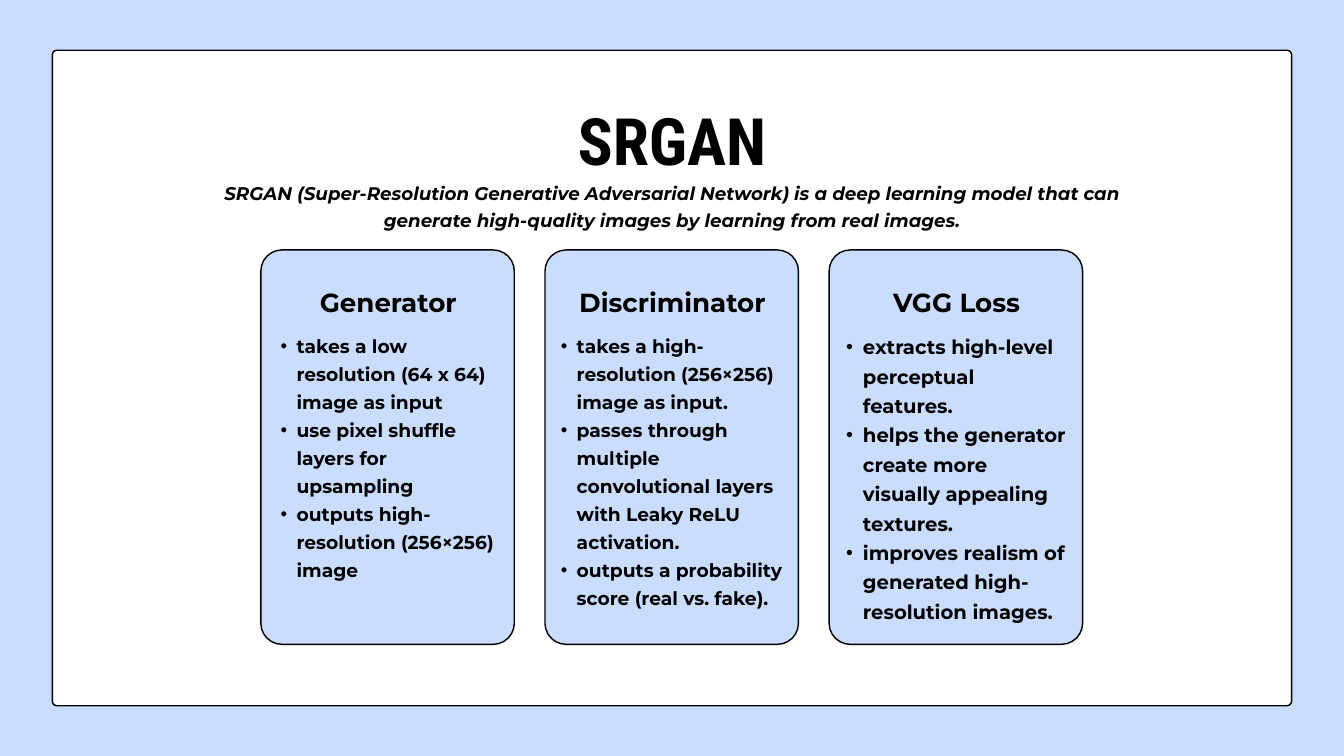
"""Build the SRGAN overview slide with its three component cards."""
from dataclasses import dataclass

from lxml import etree
from pptx import Presentation
from pptx import util as u
from pptx.dml.color import RGBColor
from pptx.enum import shapes, text
from pptx.oxml import ns

BLUE = RGBColor(0xCA, 0xDD, 0xFF)
WHITE = RGBColor(0xFF, 0xFF, 0xFF)
BLACK = RGBColor(0, 0, 0)

CARD_LEFT, CARD_TOP, CARD_PITCH = 9.86, 9.45, 10.74
CARD_WIDTH, CARD_HEIGHT = 9.58, 14.91


@dataclass(frozen=True)
class Box:
    left: float
    top: float
    width: float
    height: float

    def lengths(self) -> tuple:
        return tuple(u.Cm(side) for side in (self.left, self.top, self.width, self.height))


@dataclass(frozen=True)
class Style:
    size: float
    leading: float
    font: str = "Montserrat"
    italic: bool = False
    indent: float = 0


@dataclass(frozen=True)
class Card:
    heading: str
    points: tuple[str, ...]
    style: Style
    inset: float
    list_width: float
    list_height: float


TITLE = Style(70, 70.7, font="Roboto Condensed")
SUMMARY = Style(19.6, 29.4, italic=True)
HEADING = Style(28, 36.4)
POINTS = Style(20, 30, indent=0.6)
LARGE_POINTS = Style(21, 31.5, indent=0.64)

CARDS = (
    Card("Generator", (
        "takes a low resolution (64 x 64) image as input",
        "use pixel shuffle layers for upsampling",
        "outputs high-resolution (256×256) image",
    ), POINTS, 0.15, 8.86, 9.47),
    Card("Discriminator", (
        "takes a high-resolution (256×256) image as input.",
        "passes through multiple convolutional layers with Leaky ReLU activation.",
        "outputs a probability score (real vs. fake).",
    ), POINTS, 0, 9.02, 11.58),
    Card("VGG Loss", (
        "extracts high-level perceptual features.",
        "helps the generator create more visually appealing textures.",
        "improves realism of generated high-resolution images.",
    ), LARGE_POINTS, 0, 9.02, 12.17),
)


def apply(target, values: dict) -> None:
    for name, value in values.items():
        setattr(target, name, value)


def add_panel(slide, box: Box, color: RGBColor, radius: float) -> None:
    panel = slide.shapes.add_shape(shapes.MSO_SHAPE.ROUNDED_RECTANGLE, *box.lengths())
    panel.adjustments[0] = radius / min(box.width, box.height)
    panel.shadow.inherit = False
    panel.fill.solid()
    panel.fill.fore_color.rgb = color
    panel.line.color.rgb = BLACK
    panel.line.width = u.Pt(1.5)


def add_bullet(paragraph, indent: float) -> None:
    paragraph.level = 1
    properties = paragraph._p.get_or_add_pPr()
    properties.set("marL", str(u.Cm(2 * indent)))
    properties.set("indent", str(-u.Cm(indent)))
    etree.SubElement(properties, ns.qn("a:buFont"), typeface="Arial")
    etree.SubElement(properties, ns.qn("a:buChar"), char="•")


def add_text(slide, box: Box, style: Style, *lines: str) -> None:
    frame = slide.shapes.add_textbox(*box.lengths()).text_frame
    apply(frame, {
        "margin_left": 0, "margin_top": 0, "margin_right": 0, "margin_bottom": 0,
        "word_wrap": True, "auto_size": text.MSO_AUTO_SIZE.SHAPE_TO_FIT_TEXT,
    })
    for index, line in enumerate(lines):
        paragraph = frame.add_paragraph() if index else frame.paragraphs[0]
        paragraph.line_spacing = u.Pt(style.leading)
        if style.indent:
            add_bullet(paragraph, style.indent)
        else:
            paragraph.alignment = text.PP_ALIGN.CENTER
        run = paragraph.add_run()
        run.text = line
        apply(run.font, {
            "name": style.font, "size": u.Pt(style.size),
            "bold": True, "italic": style.italic,
        })
        run.font.color.rgb = BLACK


def add_card(slide, card: Card, left: float) -> None:
    add_panel(slide, Box(left, CARD_TOP, CARD_WIDTH, CARD_HEIGHT), BLUE, 0.8)
    add_text(slide, Box(left + 1.12, 10.74, 7.39, 1.22), HEADING, card.heading)
    points_box = Box(left + card.inset, 12.45, card.list_width, card.list_height)
    add_text(slide, points_box, card.style, *card.points)


def main() -> None:
    deck = Presentation()
    apply(deck, {"slide_width": u.Cm(50.8), "slide_height": u.Cm(28.58)})
    slide = deck.slides.add_slide(deck.slide_layouts[6])
    slide.background.fill.solid()
    slide.background.fill.fore_color.rgb = BLUE

    add_panel(slide, Box(1.98, 1.9, 46.84, 24.78), WHITE, 0.17)
    for index, card in enumerate(CARDS):
        add_card(slide, card, CARD_LEFT + index * CARD_PITCH)
    add_text(slide, Box(12.93, 4.24, 24.94, 2.62), TITLE, "SRGAN")
    add_text(
        slide, Box(7.92, 6.68, 34.98, 3.07), SUMMARY,
        "SRGAN (Super-Resolution Generative Adversarial Network) is a deep learning model "
        "that can generate high-quality images by learning from real images.",
    )
    deck.save("out.pptx")


if __name__ == "__main__":
    main()
